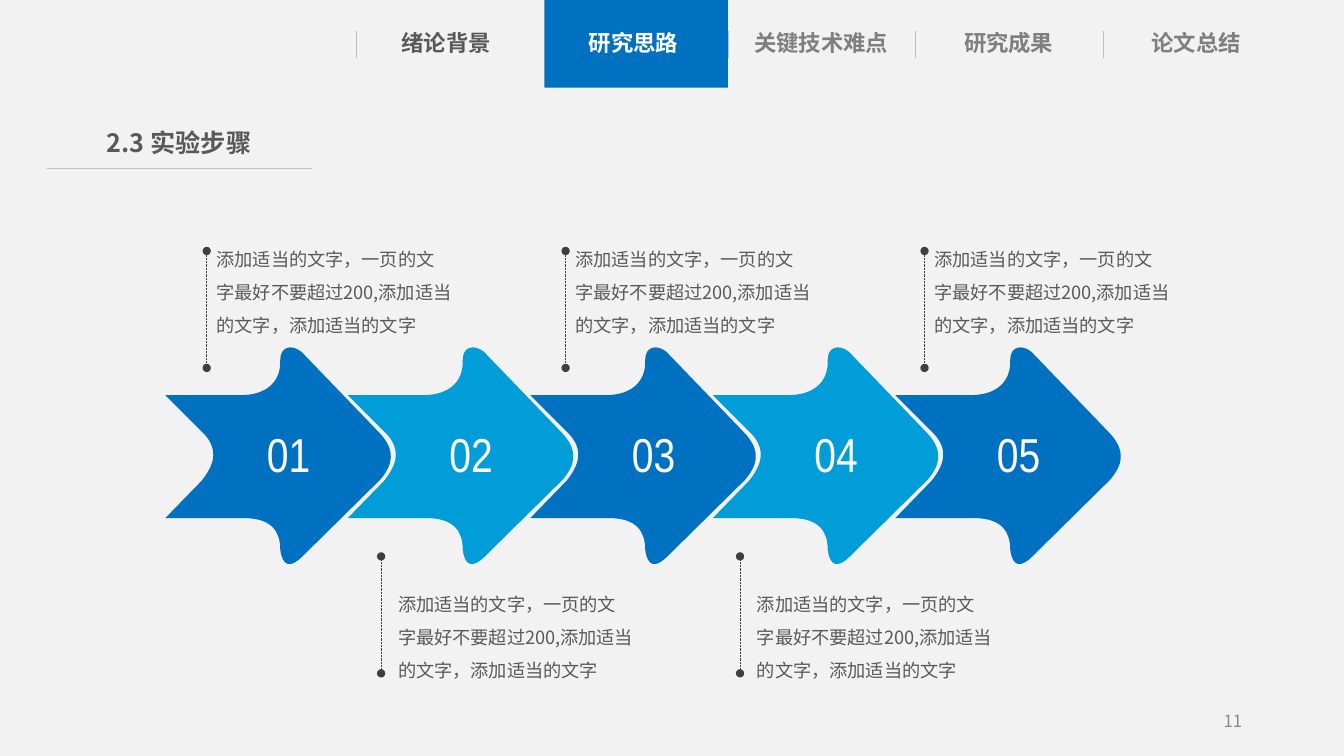
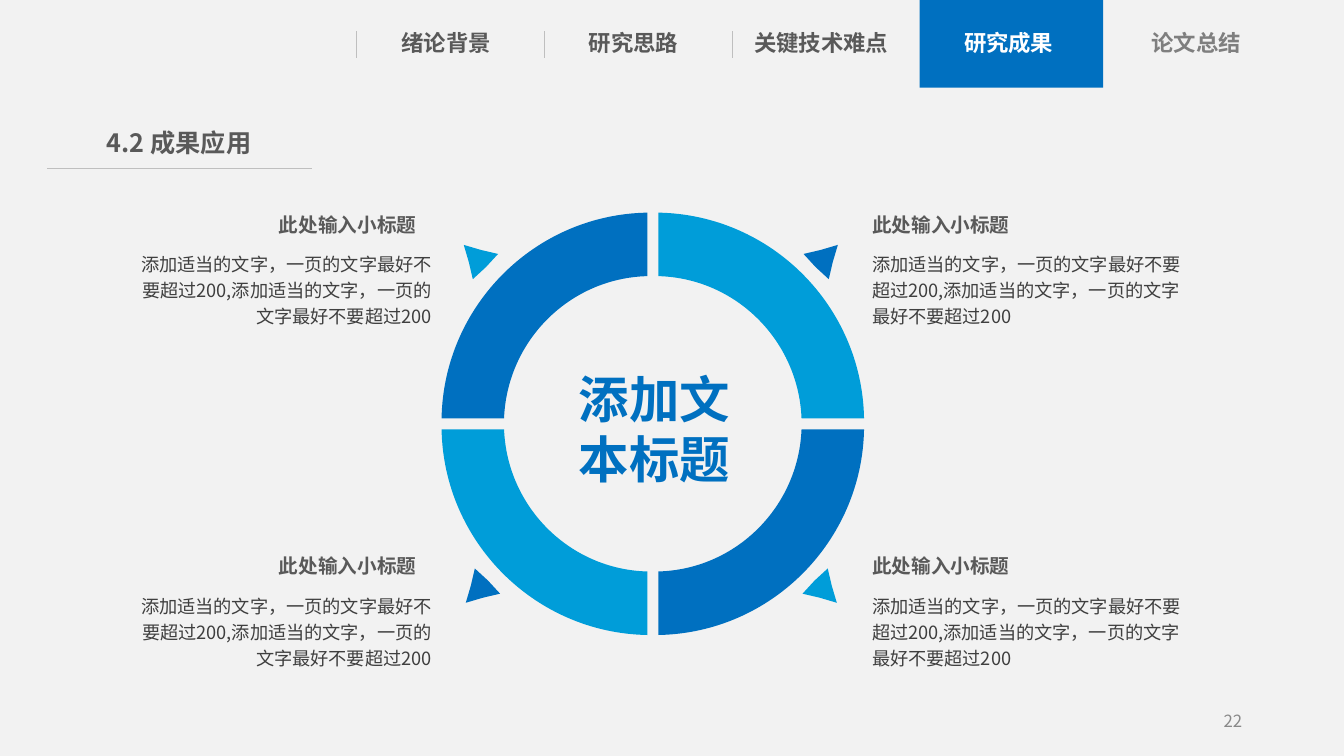
from pptx import Presentation
from pptx.dml.color import RGBColor
from pptx.enum.dml import MSO_LINE
from pptx.enum.shapes import MSO_CONNECTOR, MSO_SHAPE
from pptx.enum.text import MSO_ANCHOR, MSO_AUTO_SIZE, PP_ALIGN
from pptx.oxml.xmlchemy import OxmlElement
from pptx.util import Emu, Pt

STRAIGHT = MSO_CONNECTOR.STRAIGHT
RECT = MSO_SHAPE.RECTANGLE
DOTTED = MSO_LINE.ROUND_DOT
TOP, MIDDLE = MSO_ANCHOR.TOP, MSO_ANCHOR.MIDDLE
LEFT, CENTER, RIGHT = PP_ALIGN.LEFT, PP_ALIGN.CENTER, PP_ALIGN.RIGHT
NO_FIT = MSO_AUTO_SIZE.NONE

EMU_PER_PX = 9144
WIDTH, HEIGHT, BAND = 1333, 750, 87
TITLE_ONLY = 5
BLUE, CYAN, WHITE = "0070C0", "009DD9", "FFFFFF"
PAPER, RULE, MUTED = "F2F2F2", "BFBFBF", "7F7F7F"
GRAY, DARK, FOLIO = "595959", "3F3F3F", "898989"
FONT, NUMBER_FONT = "Noto Sans CJK SC", "Arial Narrow"

TABS = ("绪论背景", "研究思路", "关键技术难点", "研究成果", "论文总结")
TAB_PITCH = 186
STEP_TEXT = "添加适当的文字，一页的文字最好不要超过200,添加适当的文字，添加适当的文字"
RESULT_TEXT = "添加适当的文字，一页的文字最好不要超过200,添加适当的文字，一页的文字最好不要超过200"
RESULT_HEAD = "此处输入小标题"

ARROW_SIZE = (223, 215)
ARROW = (
    ((0, 47),),
    ((75, 47),),
    ((100, 47), (115, 34), (114, 12)),
    ((114, -1), (125, -4), (135, 4)),
    ((211, 83),),
    ((230, 102), (225, 117), (213, 131)),
    ((136, 207),),
    ((124, 219), (116, 217), (114, 200)),
    ((114, 184), (107, 169), (78, 169)),
    ((0, 169),),
    ((36, 132),),
    ((47, 118), (54, 103), (39, 86)),
    ((0, 47),),
)
RING_SIZE = (204, 204)
RING = (
    ((0, 204),),
    ((112, 202), (202, 111), (204, 0)),
    ((142, 0),),
    ((139, 77), (77, 139), (0, 141)),
    ((0, 204),),
)
POINTER_SIZE = (34, 34)
POINTER = (
    ((0, 0),), ((5, 17),), ((9, 34),), ((22, 22),), ((34, 9),), ((17, 5),), ((0, 0),),
)


def px(n):
    return Emu(n * EMU_PER_PX)


def rgb(value):
    return RGBColor.from_string(value)


def write(tf, text, *, size, color=GRAY, bold=False, align=LEFT, font=FONT,
          spacing=None, inset=(10, 5, 10, 5), anchor=TOP, wrap=True):
    tf.word_wrap = wrap
    tf.auto_size = NO_FIT
    tf.vertical_anchor = anchor
    tf.margin_left, tf.margin_top, tf.margin_right, tf.margin_bottom = map(px, inset)
    for i, line in enumerate(text.split("\n")):
        p = tf.add_paragraph() if i else tf.paragraphs[0]
        p.alignment = align
        if spacing:
            p.line_spacing = spacing
        r = p.add_run()
        r.text = line
        r.font.size = Pt(size)
        r.font.bold = bold
        r.font.color.rgb = rgb(color)
        r.font.name = font
        ea = OxmlElement("a:ea")
        ea.set("typeface", font)
        r.font._element.append(ea)


def paint(sp, color):
    sp.shadow.inherit = False
    sp.fill.solid()
    sp.fill.fore_color.rgb = rgb(color)
    sp.line.fill.background()


def mirror(path, size, flip_x, flip_y):
    w, h = size
    return [[(w - x if flip_x else x, h - y if flip_y else y) for x, y in segment]
            for segment in path]


class Deck:
    def __init__(self):
        self.prs = Presentation()
        self.prs.slide_width, self.prs.slide_height = px(WIDTH), px(HEIGHT)
        self.s = None

    def backdrop(self):
        sp = self.block(0, 0, WIDTH, HEIGHT, PAPER)
        sp._element.nvSpPr.cNvPr.set("id", "99")
        self.prs.slide_master.shapes._spTree.insert(2, sp._element)

    def slide(self, title, number, active, dividers):
        self.s = self.prs.slides.add_slide(self.prs.slide_layouts[TITLE_ONLY])
        if len(self.prs.slides) == 1:
            self.backdrop()
        self.text(number, 942, 695, 300, 40, size=12, color=FOLIO, align=RIGHT,
                  anchor=MIDDLE)
        self.block(0, 0, WIDTH, BAND, PAPER)
        self.block(354 + TAB_PITCH * active, 0, 182, BAND, BLUE)
        for x in dividers:
            self.line(x, 31, x, 58)
        for i, tab in enumerate(TABS):
            color = WHITE if i == active else GRAY if i < active else MUTED
            self.text(tab, 369 + TAB_PITCH * i, 24, 147, 38, size=16, color=color,
                      bold=True, align=CENTER, inset=(0, 5, 0, 5))
        self.line(47, 167, 309, 167)
        heading = self.s.shapes.title
        heading.left, heading.top, heading.width, heading.height = map(px, (74, 121, 207, 42))
        write(heading.text_frame, title, size=18, bold=True, align=CENTER,
              inset=(0, 5, 0, 5))

    def text(self, text, x, y, w, h, **style):
        sp = self.s.shapes.add_textbox(px(x), px(y), px(w), px(h))
        write(sp.text_frame, text, **style)

    def block(self, x, y, w, h, color, shapes=None):
        shapes = shapes or self.s.shapes
        sp = shapes.add_shape(RECT, px(x), px(y), px(w), px(h))
        paint(sp, color)
        return sp

    def outline(self, x, y, size, segments, color, shapes=None):
        w, h = size
        builder = (shapes or self.s.shapes).build_freeform(px(x), px(y))
        builder.add_line_segments([(px(x + w), px(y)), (px(x + w), px(y + h))])
        sp = builder.convert_to_shape()
        path = next(sp._element.iter("{*}path"))
        for child in list(path):
            path.remove(child)
        for i, segment in enumerate(segments):
            tag = "a:cubicBezTo" if len(segment) == 3 else "a:lnTo" if i else "a:moveTo"
            command = OxmlElement(tag)
            for dx, dy in segment:
                pt = OxmlElement("a:pt")
                pt.set("x", str(px(dx)))
                pt.set("y", str(px(dy)))
                command.append(pt)
            path.append(command)
        path.append(OxmlElement("a:close"))
        paint(sp, color)

    def line(self, x1, y1, x2, y2, color=RULE, dotted=False):
        sp = self.s.shapes.add_connector(STRAIGHT, px(x1), px(y1), px(x2), px(y2))
        sp.line.width = Pt(0.5)
        sp.line.color.rgb = rgb(color)
        if dotted:
            sp.line.dash_style = DOTTED
            ln = sp.line._get_or_add_ln()
            for tag in ("a:headEnd", "a:tailEnd"):
                end = OxmlElement(tag)
                end.set("type", "oval")
                ln.append(end)
        sp._element.spPr.append(OxmlElement("a:effectLst"))

    def step(self, index):
        shift = 181 * index
        color = CYAN if index % 2 else BLUE
        shapes = self.s.shapes.add_group_shape().shapes
        self.outline(164 + shift, 345, ARROW_SIZE, ARROW, color, shapes)
        badge = self.block(255 + shift, 417, 70, 68, color, shapes)
        write(badge.text_frame, f"0{index + 1}", size=34, color=WHITE,
              font=NUMBER_FONT, wrap=False)

    def callout(self, line_x, line_y, text_x, text_y):
        self.line(line_x, line_y, line_x, line_y - 116, color=DARK, dotted=True)
        self.text(STEP_TEXT, text_x, text_y, 253, 112, size=13, spacing=1.5)

    def result(self, x_head, x_body, w_body, y, align):
        inset = (8, 4, 8, 4)
        self.text(RESULT_HEAD, x_head, y, 212, 33, size=14, bold=True, align=align,
                  inset=inset)
        self.text(RESULT_TEXT, x_body, y + 36, w_body, 90, size=13, color=DARK,
                  align=align, spacing=1.2, inset=inset)


def steps_slide(deck):
    deck.slide("2.3 实验步骤", "11", 1, (353, 722, 908, 1094))
    for index in reversed(range(5)):
        deck.step(index)
    for index in range(5):
        column, lower = divmod(index, 2)
        shift = 356 * column
        if lower:
            deck.callout(378 + shift, 668, 385 + shift, 573)
        else:
            deck.callout(205 + shift, 365, 205 + shift, 231)


def results_slide(deck):
    deck.slide("4.2 成果应用", "22", 3, (353, 540, 726))
    pointers = (
        (797, 243, True, False, BLUE),
        (460, 243, False, False, CYAN),
        (462, 564, False, True, BLUE),
        (796, 564, True, True, CYAN),
    )
    for x, y, flip_x, flip_y, color in pointers:
        deck.outline(x, y, POINTER_SIZE, mirror(POINTER, POINTER_SIZE, flip_x, flip_y), color)
    deck.text("添加文\n本标题", 543, 361, 212, 129, size=36, color=BLUE, bold=True,
              align=CENTER, inset=(8, 4, 8, 4))
    for y in (207, 546):
        deck.result(857, 857, 334, y, LEFT)
        deck.result(209, 122, 314, y, RIGHT)
    for x, flip_x in ((438, True), (653, False)):
        for y, flip_y in ((211, True), (426, False)):
            color = BLUE if flip_x == flip_y else CYAN
            deck.outline(x, y, RING_SIZE, mirror(RING, RING_SIZE, flip_x, flip_y), color)


def main():
    deck = Deck()
    steps_slide(deck)
    results_slide(deck)
    deck.prs.save("out.pptx")


if __name__ == "__main__":
    main()
